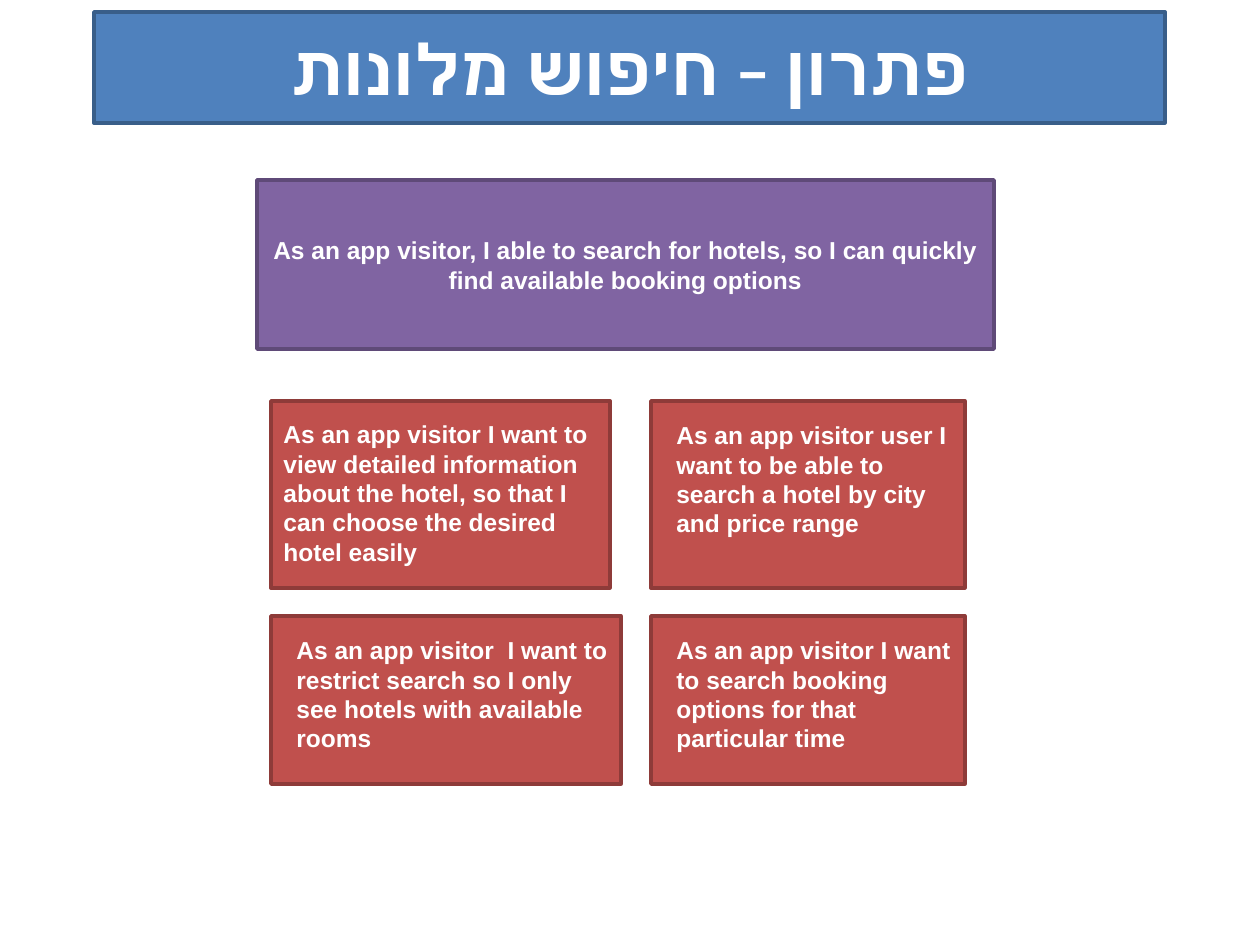
from lxml import etree
from pptx import Presentation
from pptx import util as u
from pptx.dml.color import RGBColor
from pptx.enum import shapes, text
from pptx.oxml import ns

PX = u.Inches(1) / 126
WHITE = RGBColor(0xFF, 0xFF, 0xFF)
BLUE = RGBColor(0x4F, 0x81, 0xBD)
DARK_BLUE = RGBColor(0x39, 0x5E, 0x89)
PURPLE = RGBColor(0x80, 0x64, 0xA2)
DARK_PURPLE = RGBColor(0x5F, 0x4A, 0x78)
RED = RGBColor(0xC0, 0x50, 0x4D)
DARK_RED = RGBColor(0x8E, 0x3B, 0x39)

TITLE = "פתרון – חיפוש מלונות"
EPIC = ("As an app visitor, I able to search for hotels, "
        "so I can quickly find available booking options")
LEFT, RIGHT = 271, 651
TOP_ROW, BOTTOM_ROW = (401, 187), (616, 168)
STORIES = [
    (RIGHT, TOP_ROW, 314, (13, 13), 301,
     "As an app visitor user I want to be able to search a hotel by city and price range"),
    (LEFT, BOTTOM_ROW, 350, (13, 13), 337,
     "As an app visitor  I want to restrict search so I only see hotels with available rooms"),
    (LEFT, TOP_ROW, 339, (0, 12), 337,
     "As an app visitor I want to view detailed information about the hotel, "
     "so that I can choose the desired hotel easily"),
    (RIGHT, BOTTOM_ROW, 314, (13, 13), 301,
     "As an app visitor I want to search booking options for that particular time"),
]


def px(*lengths):
    """Turn pixel lengths into EMU."""
    return [u.Emu(round(length * PX)) for length in lengths]


def write(frame, wording, size=14, font="Arial", align=text.PP_ALIGN.LEFT,
          anchor=text.MSO_ANCHOR.TOP, rtl=False):
    """Put one bold white paragraph into a text frame."""
    frame.word_wrap = True
    frame.vertical_anchor = anchor
    paragraph = frame.paragraphs[0]
    paragraph.alignment = align
    run = paragraph.add_run()
    run.text = wording
    run.font.name = font
    run.font.size = u.Pt(size)
    run.font.bold = True
    run.font.color.rgb = WHITE
    if rtl:
        paragraph._p.get_or_add_pPr().set("rtl", "1")
        script_font = etree.SubElement(run._r.get_or_add_rPr(), ns.qn("a:cs"))
        script_font.set("typeface", font)


def add_panel(parent, box, fill, border):
    """Draw a filled rectangle with a darker border."""
    panel = parent.shapes.add_shape(shapes.MSO_SHAPE.RECTANGLE, *px(*box))
    panel.shadow.inherit = False
    panel.fill.solid()
    panel.fill.fore_color.rgb = fill
    panel.line.color.rgb = border
    panel.line.width = u.Pt(2)
    return panel


def add_banner(slide, box, fill, border, wording, **style):
    """Draw a panel with centred text inside."""
    banner = add_panel(slide, box, fill, border)
    write(banner.text_frame, wording, align=text.PP_ALIGN.CENTER,
          anchor=text.MSO_ANCHOR.MIDDLE, **style)


def add_story(slide, left, row, width, offset, text_width, wording):
    """Group a red card with its story text."""
    top, height = row
    dx, dy = offset
    card = slide.shapes.add_group_shape()
    add_panel(card, (left, top, width, height), RED, DARK_RED)
    story = card.shapes.add_textbox(
        *px(left + dx, top + dy, text_width, height - 2 * dy))
    write(story.text_frame, wording)


def main():
    """Build the hotel search story slide."""
    deck = Presentation()
    deck.slide_width, deck.slide_height = px(1260, 945)
    slide = deck.slides.add_slide(deck.slide_layouts[6])
    add_banner(slide, (94, 12, 1071, 111), BLUE, DARK_BLUE, TITLE,
               size=40, font="Calibri", rtl=True)
    add_banner(slide, (257, 180, 737, 169), PURPLE, DARK_PURPLE, EPIC)
    for story in STORIES:
        add_story(slide, *story)
    deck.save("out.pptx")


if __name__ == "__main__":
    main()
